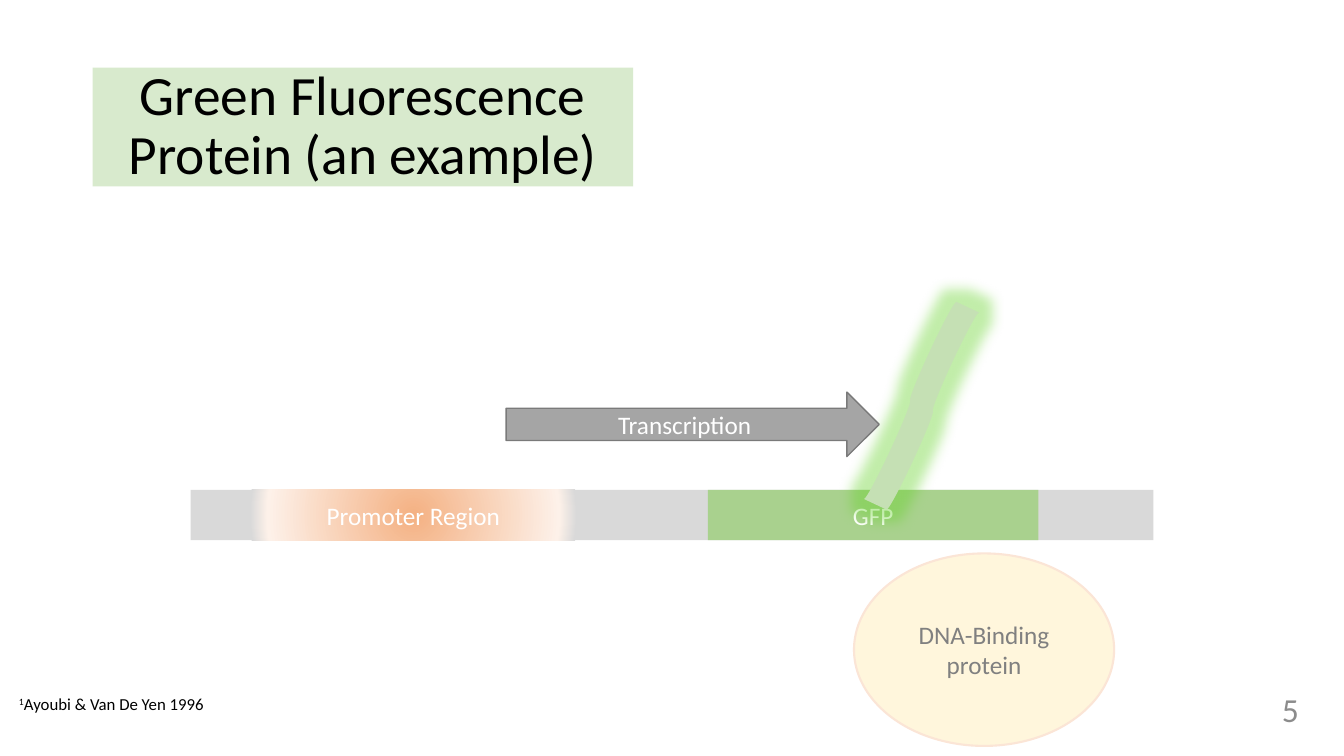
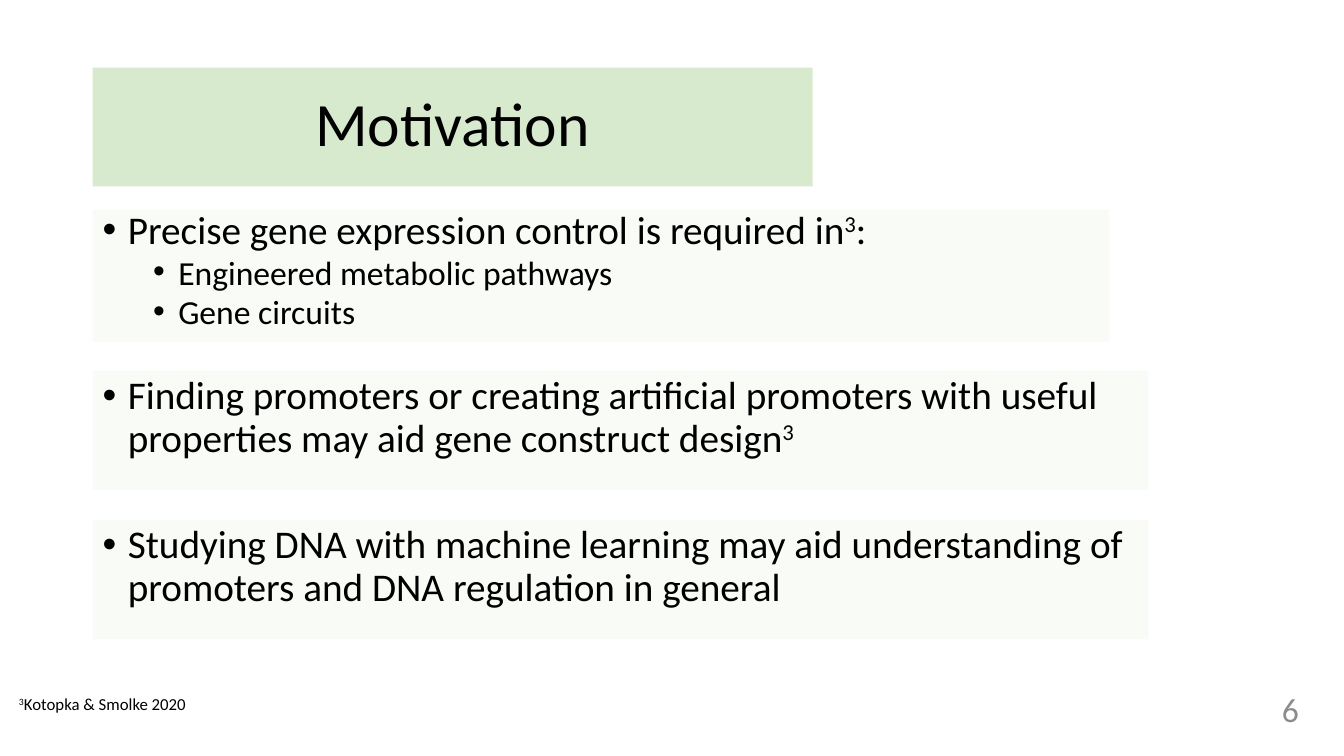
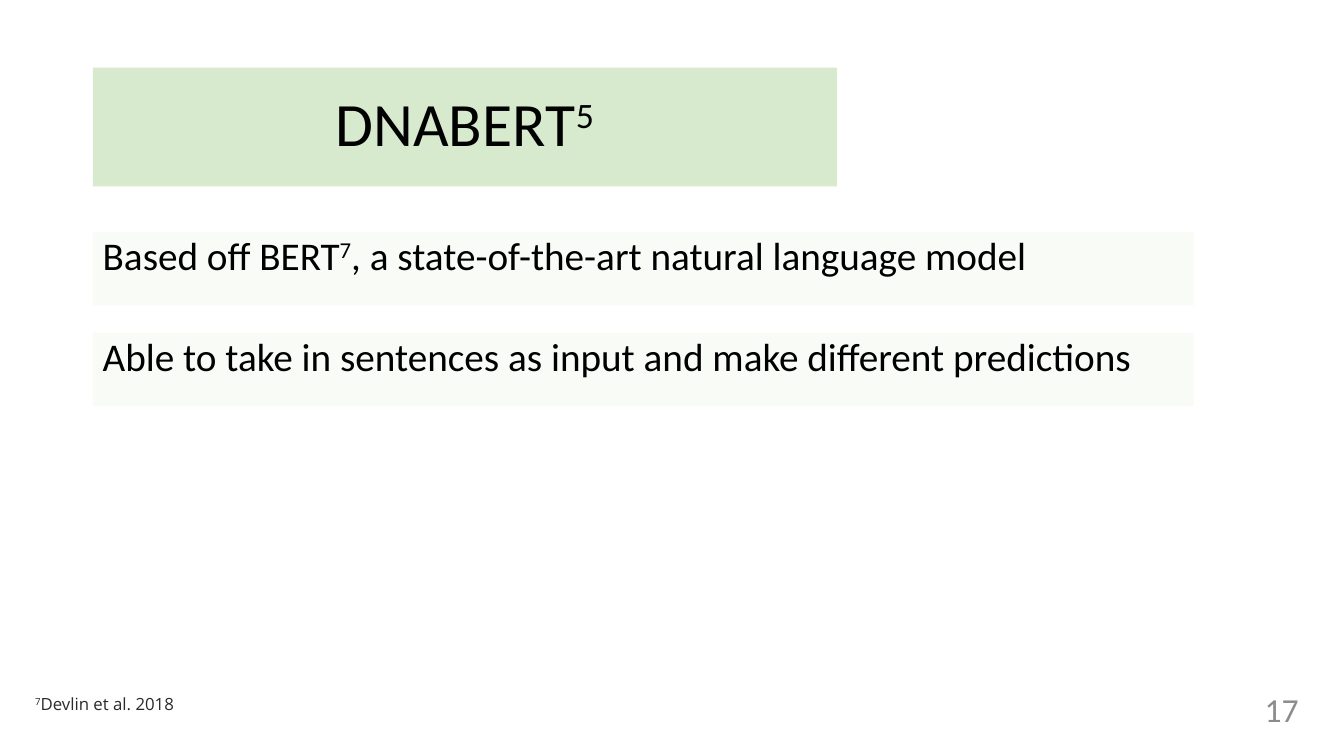
from lxml.etree import SubElement
from pptx import Presentation
from pptx.dml.color import RGBColor
from pptx.enum.shapes import MSO_SHAPE
from pptx.enum.text import MSO_ANCHOR, MSO_AUTO_SIZE, PP_ALIGN
from pptx.oxml import parse_xml
from pptx.oxml.ns import nsdecls, qn
from pptx.util import Inches, Pt

BLACK = RGBColor(0x00, 0x00, 0x00)
WHITE = RGBColor(0xFF, 0xFF, 0xFF)
CHARCOAL = RGBColor(0x2A, 0x2A, 0x2A)
PAGE_GREY = RGBColor(0x8C, 0x8C, 0x8C)
LABEL_GREY = RGBColor(0x80, 0x80, 0x80)
DNA_GREY = RGBColor(0xD9, 0xD9, 0xD9)
ARROW_GREY = RGBColor(0xA5, 0xA5, 0xA5)
ARROW_EDGE = RGBColor(0x7A, 0x7A, 0x7A)
SAGE = RGBColor(0xC5, 0xE0, 0xB4)
MIST = RGBColor(0xE2, 0xF0, 0xD9)
GENE_GREEN = RGBColor(0xA9, 0xD1, 0x8E)
GLOW_GREEN = RGBColor(0x66, 0xD4, 0x2A)
CREAM = RGBColor(0xFF, 0xF2, 0xCC)
PEACH = RGBColor(0xFB, 0xE5, 0xD6)
ORANGE = RGBColor(0xF4, 0xB1, 0x83)
PALE_ORANGE = RGBColor(0xFD, 0xF1, 0xE9)

BODY_FONT = "Calibri"
LEFT = 0.92
FOOT_TOP = 6.83
DNA_TOP, DNA_HEIGHT = 4.86, 0.5
CENTRED = {"alignment": PP_ALIGN.CENTER}


def apply_format(target, values):
    for name, value in values.items():
        setattr(target, name, value)


def write_runs(paragraph, text, size, color, font=BODY_FONT):
    for index, part in enumerate(text.split("^")):
        if not part:
            continue
        run = paragraph.add_run()
        run.text = part
        apply_format(run.font, {"size": Pt(size), "name": font})
        run.font.color.rgb = color
        if index % 2:
            run._r.get_or_add_rPr().set("baseline", "30000")


def add_bullet(paragraph, level):
    properties = paragraph._p.get_or_add_pPr()
    properties.set("marL", str(Inches(0.25 + 0.5 * level)))
    properties.set("indent", str(Inches(-0.25)))
    SubElement(properties, qn("a:buFont")).set("typeface", "Arial")
    SubElement(properties, qn("a:buChar")).set("char", "•")


def add_block(slide, kind, box, color=None, opacity=100, edge=None):
    block = slide.shapes.add_shape(kind, *map(Inches, box))
    block.shadow.inherit = False
    if color is not None:
        block.fill.solid()
        block.fill.fore_color.rgb = color
    if opacity < 100:
        tint = block.element.spPr.find(".//" + qn("a:srgbClr"))
        SubElement(tint, qn("a:alpha")).set("val", str(opacity * 1000))
    if edge:
        block.line.color.rgb, block.line.width = edge[0], Pt(edge[1])
    else:
        block.line.fill.background()
    block.text_frame.word_wrap = True
    return block


def add_label(block, text, color=WHITE, size=18, spacing=1.0):
    block.text_frame.vertical_anchor = MSO_ANCHOR.MIDDLE
    paragraph = block.text_frame.paragraphs[0]
    apply_format(paragraph, {**CENTRED, "line_spacing": spacing})
    write_runs(paragraph, text, size, color)


def add_title(slide, text, width, size=44):
    band = add_block(slide, MSO_SHAPE.RECTANGLE, (LEFT, 0.67, width, 1.18), SAGE, 66)
    add_label(band, text, BLACK, size, 0.9)


def add_panel(slide, top, width, height, lines, bulleted=True, spacing=0.9):
    panel = add_block(slide, MSO_SHAPE.RECTANGLE, (LEFT, top, width, height), MIST, 21)
    frame = panel.text_frame
    frame.vertical_anchor = MSO_ANCHOR.TOP
    for index, (text, level) in enumerate(lines):
        paragraph = frame.add_paragraph() if index else frame.paragraphs[0]
        if bulleted:
            add_bullet(paragraph, level)
        apply_format(paragraph, {
            "level": level,
            "alignment": PP_ALIGN.LEFT,
            "line_spacing": spacing,
            "space_before": Pt(5 if index else 0),
        })
        write_runs(paragraph, text, 24 if level else 28, BLACK)


def add_text(slide, box, text, size, color, frame_format, alignment, font=BODY_FONT):
    frame = slide.shapes.add_textbox(*map(Inches, box)).text_frame
    apply_format(frame, {"word_wrap": True, **frame_format})
    frame.paragraphs[0].alignment = alignment
    write_runs(frame.paragraphs[0], text, size, color, font)


def add_footer(slide, number, citation, left=0.09, width=2.3, color=BLACK, font=BODY_FONT):
    add_text(slide, (9.98, FOOT_TOP, 3, 0.4), number, 24, PAGE_GREY,
             {"vertical_anchor": MSO_ANCHOR.MIDDLE}, PP_ALIGN.RIGHT)
    add_text(slide, (left, FOOT_TOP, width, 0.3), citation, 12, color,
             {"auto_size": MSO_AUTO_SIZE.SHAPE_TO_FIT_TEXT}, PP_ALIGN.LEFT, font)


def add_dna_segment(slide, left, width, color=None):
    return add_block(slide, MSO_SHAPE.RECTANGLE, (left, DNA_TOP, width, DNA_HEIGHT), color)


def fill_radial(block, stops):
    marks = "".join(
        f'<a:gs pos="{position * 1000}"><a:srgbClr val="{color}"/></a:gs>'
        for position, color in stops)
    gradient = parse_xml(
        f'<a:gradFill {nsdecls("a")} rotWithShape="1"><a:gsLst>{marks}</a:gsLst>'
        '<a:path path="circle"><a:fillToRect l="50000" t="50000" r="50000" b="50000"/>'
        '</a:path></a:gradFill>')
    block.element.spPr.find(qn("a:prstGeom")).addnext(gradient)


def add_glow(block, color, radius, opacity):
    effects = block.element.spPr.find(qn("a:effectLst"))
    glow = SubElement(effects, qn("a:glow"))
    glow.set("rad", str(Pt(radius)))
    tint = SubElement(glow, qn("a:srgbClr"))
    tint.set("val", str(color))
    SubElement(tint, qn("a:alpha")).set("val", str(opacity * 1000))


def build_example(slide):
    add_title(slide, "Green Fluorescence Protein (an example)", 5.36, 39.6)
    add_footer(slide, "5", "^1^Ayoubi & Van De Yen 1996")
    add_dna_segment(slide, 1.89, 9.55, DNA_GREY)
    add_label(add_dna_segment(slide, 7.02, 3.28, GENE_GREEN), "GFP")
    promoter = add_dna_segment(slide, 2.16, 3.88)
    fill_radial(promoter, [(0, ORANGE), (74, PALE_ORANGE), (83, DNA_GREY), (100, DNA_GREY)])
    add_label(promoter, "Promoter Region")
    protein = add_block(slide, MSO_SHAPE.FLOWCHART_CONNECTOR, (8.47, 5.49, 2.58, 1.91),
                        CREAM, 67, (PEACH, 1.5))
    add_label(protein, "DNA-Binding protein", LABEL_GREY)
    transcript = add_block(slide, MSO_SHAPE.FLOWCHART_PUNCHED_TAPE, (8.06, 3.87, 2.16, 0.31), SAGE)
    transcript.rotation = 295.1
    add_glow(transcript, GLOW_GREEN, 18, 40)
    transcription = add_block(slide, MSO_SHAPE.RIGHT_ARROW, (5.02, 3.89, 3.7, 0.64),
                              ARROW_GREY, edge=(ARROW_EDGE, 1))
    add_label(transcription, "Transcription")


def build_motivation(slide):
    add_title(slide, "Motivation", 7.14)
    add_panel(slide, 2.08, 10.08, 1.31, [
        ("Precise gene expression control is required in^3^:", 0),
        ("Engineered metabolic pathways", 1),
        ("Gene circuits", 1),
    ], spacing=0.8)
    reasons = [
        "Finding promoters or creating artificial promoters with useful properties "
        "may aid gene construct design^3^",
        "Studying DNA with machine learning may aid understanding of promoters "
        "and DNA regulation in general",
    ]
    for index, reason in enumerate(reasons):
        add_panel(slide, 3.68 + 1.48 * index, 10.47, 1.18, [(reason, 0)])
    add_footer(slide, "6", "^3^Kotopka & Smolke 2020")


def build_dnabert(slide):
    add_title(slide, "DNABERT^5^", 7.38)
    facts = [
        "Based off BERT^7^, a state-of-the-art natural language model",
        "Able to take in sentences as input and make different predictions",
    ]
    for index, fact in enumerate(facts):
        add_panel(slide, 2.3 + index, 10.92, 0.73, [(fact, 0)], bulleted=False)
    add_footer(slide, "17", "^7^Devlin et al. 2018", 0.25, 6.67, CHARCOAL, "Open Sans")


def main():
    deck = Presentation()
    apply_format(deck, {"slide_width": Inches(13.33), "slide_height": Inches(7.5)})
    for build in (build_example, build_motivation, build_dnabert):
        build(deck.slides.add_slide(deck.slide_layouts[6]))
    deck.save("out.pptx")


if __name__ == "__main__":
    main()
